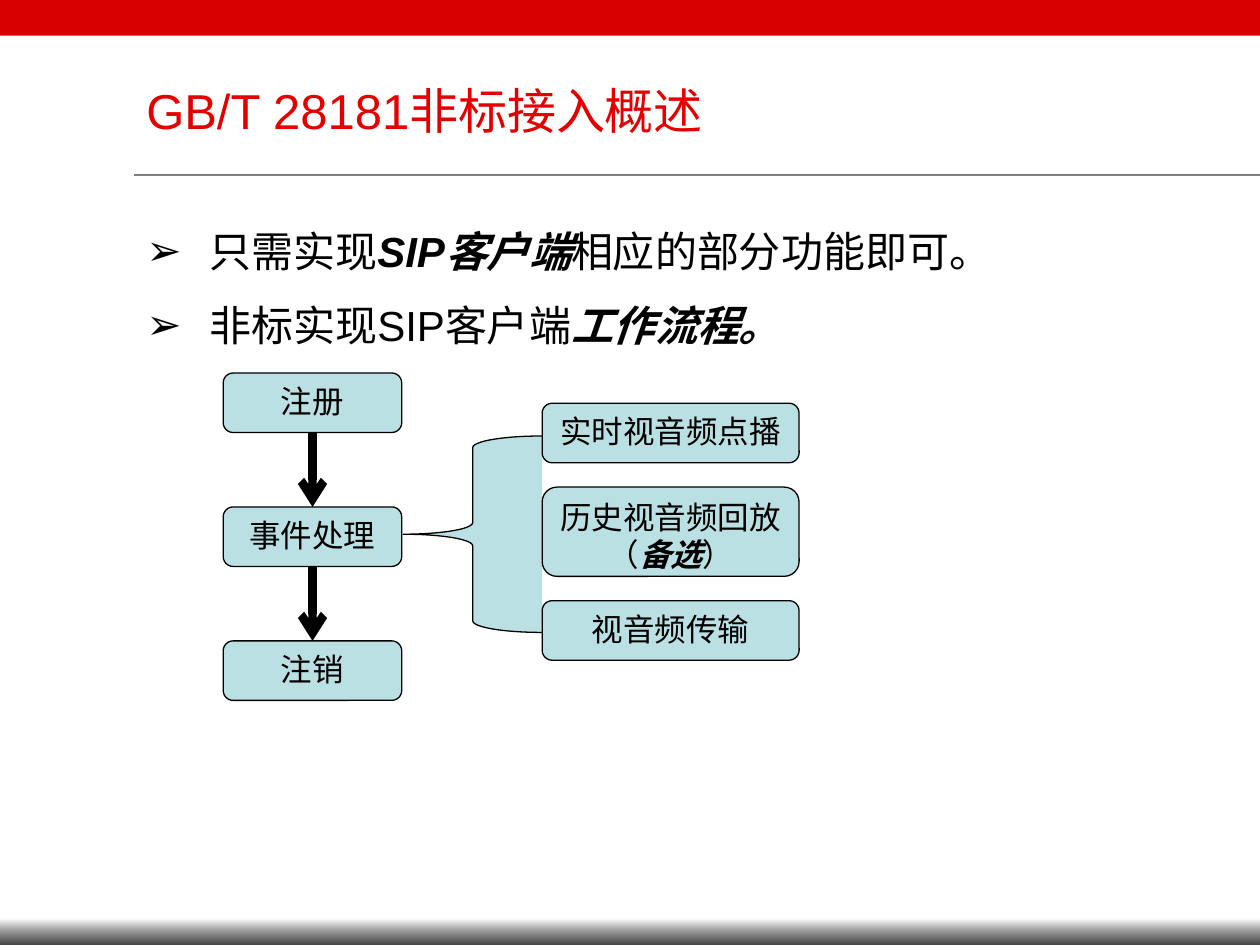
import lxml.etree
import pptx
import pptx.dml.color
import pptx.enum.shapes
import pptx.enum.text
import pptx.oxml.ns
import pptx.util

Cm = pptx.util.Cm
Pt = pptx.util.Pt
RGBColor = pptx.dml.color.RGBColor
SHAPES = pptx.enum.shapes.MSO_SHAPE
STRAIGHT = pptx.enum.shapes.MSO_CONNECTOR.STRAIGHT
qn = pptx.oxml.ns.qn

BAND_RED = RGBColor(0xD8, 0x00, 0x00)
TITLE_RED = RGBColor(0xE5, 0x00, 0x00)
BLACK = RGBColor(0x00, 0x00, 0x00)
WHITE = RGBColor(0xFF, 0xFF, 0xFF)
RULE_GRAY = RGBColor(0x80, 0x80, 0x80)
MID_GRAY = RGBColor(0x96, 0x96, 0x96)
DARK_GRAY = RGBColor(0x45, 0x45, 0x45)
PALE_TEAL = RGBColor(0xBB, 0xE0, 0xE3)

WIDTH, HEIGHT = 25.4, 19.05
CONTENT_LEFT = 2.7

presentation = pptx.Presentation()
presentation.slide_width = Cm(WIDTH)
presentation.slide_height = Cm(HEIGHT)
slide = presentation.slides.add_slide(presentation.slide_layouts[6])


def add_runs(paragraph, pieces, size, color):
    """Add (text, emphasised) pieces; emphasis is bold italic."""
    for text, emphasised in pieces:
        run = paragraph.add_run()
        run.text = text
        run.font.name = "Arial"
        run.font.size = Pt(size)
        run.font.color.rgb = color
        run.font.bold = run.font.italic = emphasised


def add_flow_shape(kind, left, top, width, height, pieces=()):
    shape = slide.shapes.add_shape(kind, Cm(left), Cm(top), Cm(width), Cm(height))
    shape.shadow.inherit = False
    shape.fill.solid()
    shape.fill.fore_color.rgb = PALE_TEAL
    shape.line.color.rgb = BLACK
    shape.line.width = Pt(0.75)
    shape.text_frame.word_wrap = True
    shape.text_frame.vertical_anchor = pptx.enum.text.MSO_ANCHOR.TOP
    paragraph = shape.text_frame.paragraphs[0]
    paragraph.alignment = pptx.enum.text.PP_ALIGN.CENTER
    add_runs(paragraph, pieces, 18, BLACK)
    return shape


# Bands at the top and bottom edges
BANDS = [
    (0, 0.72, [BAND_RED]),
    (18.78, 0.27, [MID_GRAY, DARK_GRAY]),
    (18.51, 0.27, [WHITE, MID_GRAY]),
]
for top, height, colors in BANDS:
    band = slide.shapes.add_shape(SHAPES.RECTANGLE, 0, Cm(top), Cm(WIDTH), Cm(height))
    band.shadow.inherit = False
    band.line.fill.background()
    if len(colors) == 1:
        band.fill.solid()
        band.fill.fore_color.rgb = colors[0]
    else:
        band.fill.gradient()
        band.fill.gradient_angle = 270
        for stop, color in zip(band.fill.gradient_stops, colors):
            stop.color.rgb = color

# Title and the rule below it
title_rule = slide.shapes.add_connector(STRAIGHT, Cm(WIDTH), Cm(3.53), Cm(CONTENT_LEFT), Cm(3.53))
title_rule.line.color.rgb = RULE_GRAY
title_rule.line.width = Pt(0.75)
lxml.etree.SubElement(title_rule._element.spPr, qn("a:effectLst"))

title = slide.shapes.add_textbox(Cm(CONTENT_LEFT), Cm(1.12), Cm(21.4), Cm(2.2))
title.text_frame.word_wrap = True
title.text_frame.vertical_anchor = pptx.enum.text.MSO_ANCHOR.MIDDLE
add_runs(title.text_frame.paragraphs[0], [("GB/T 28181非标接入概述", False)], 28, TITLE_RED)

# Bullet points
BULLETS = [
    [("只需实现", False), ("SIP客户端", True), ("相应的部分功能即可。", False)],
    [("非标实现SIP客户端", False), ("工作流程。", True)],
]
body = slide.shapes.add_textbox(Cm(CONTENT_LEFT), Cm(4.12), Cm(21.46), Cm(12.8))
body.text_frame.word_wrap = True
for index, pieces in enumerate(BULLETS):
    paragraph = body.text_frame.paragraphs[0] if index == 0 else body.text_frame.add_paragraph()
    properties = paragraph._p.get_or_add_pPr()
    properties.set("marL", str(Cm(1.27)))
    properties.set("indent", str(-Cm(1.27)))
    lxml.etree.SubElement(properties, qn("a:buFont"), typeface="Arial")
    lxml.etree.SubElement(properties, qn("a:buChar"), char="➢")
    paragraph.line_spacing = 1.3
    if index > 0:
        paragraph.space_before = Pt(4.8)
    add_runs(paragraph, pieces, 24, BLACK)

# Main flow, top to bottom
STEP_TOP, STEP_PITCH = 7.52, 2.7
steps = [
    add_flow_shape(SHAPES.ROUNDED_RECTANGLE, 4.5, STEP_TOP + index * STEP_PITCH, 3.6, 1.2, [(text, False)])
    for index, text in enumerate(["注册", "事件处理", "注销"])
]
for upper, lower in zip(steps, steps[1:]):
    arrow = slide.shapes.add_connector(STRAIGHT, 0, 0, 0, 0)
    arrow.begin_connect(upper, 2)
    arrow.end_connect(lower, 0)
    arrow.line.color.rgb = BLACK
    arrow.line.width = Pt(4.75)
    lxml.etree.SubElement(arrow.line._get_or_add_ln(), qn("a:tailEnd"), type="arrow")
    lxml.etree.SubElement(arrow._element.spPr, qn("a:effectLst"))

# Events that the middle step handles
add_flow_shape(SHAPES.LEFT_BRACE, 8.13, 8.79, 2.8, 3.96)
EVENTS = [
    (1.2, [("实时视音频点播", False)]),
    (1.8, [("历史视音频回放（", False), ("备选", True), ("）", False)]),
    (1.2, [("视音频传输", False)]),
]
EVENT_GAP = 0.49
event_top = 8.13
for height, pieces in EVENTS:
    add_flow_shape(SHAPES.ROUNDED_RECTANGLE, 10.93, event_top, 5.18, height, pieces)
    event_top += height + EVENT_GAP

presentation.save("out.pptx")
